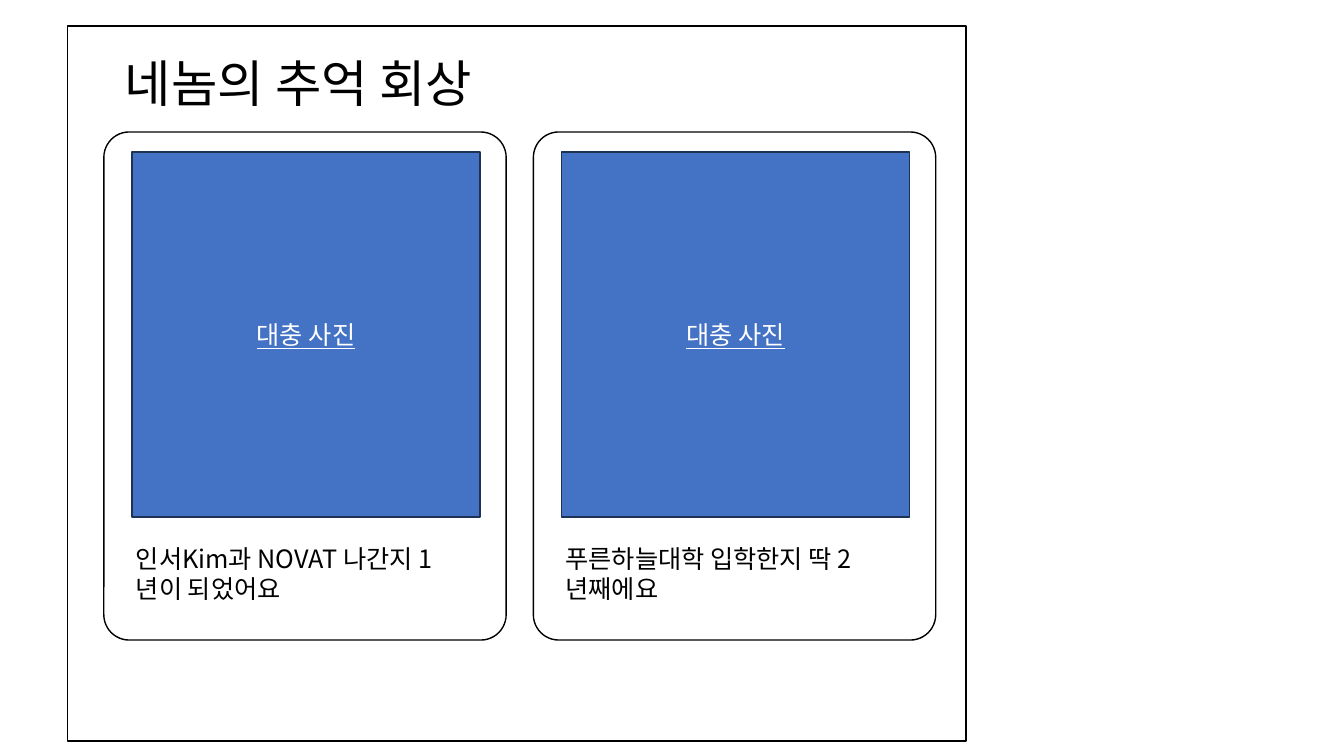
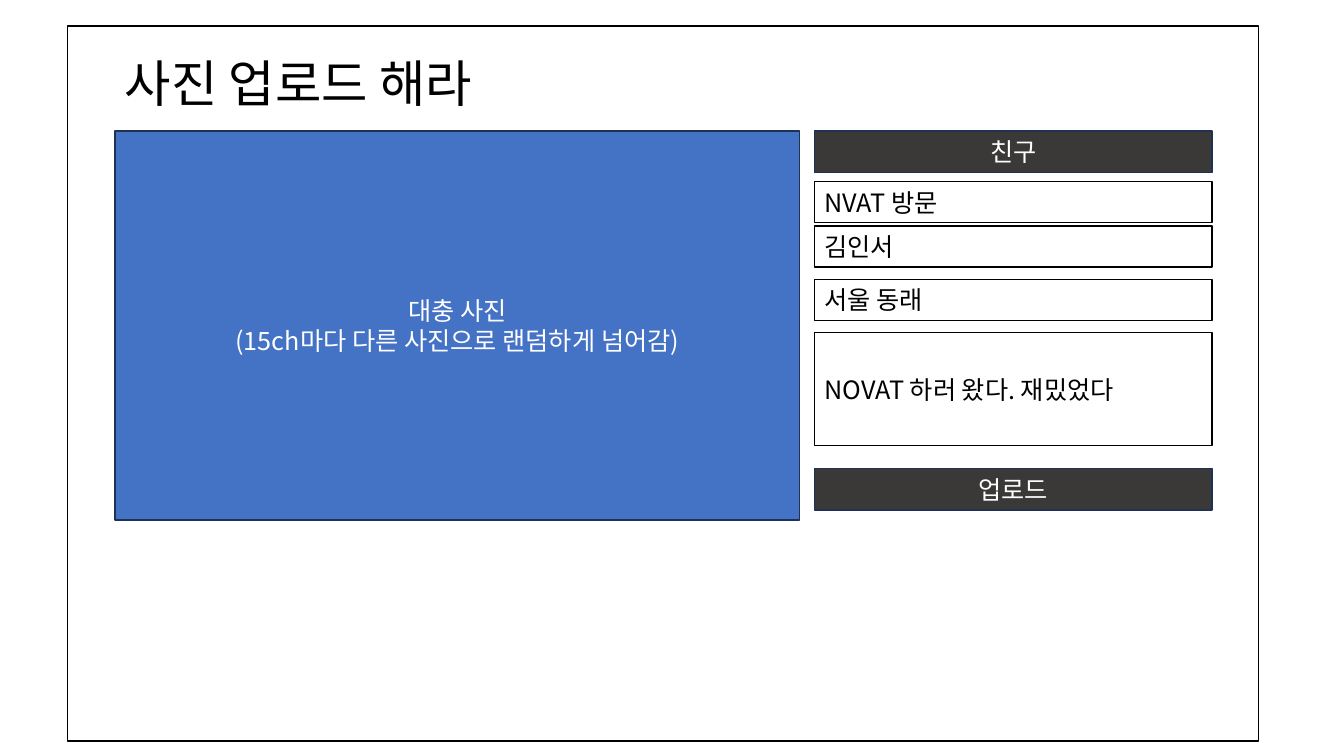
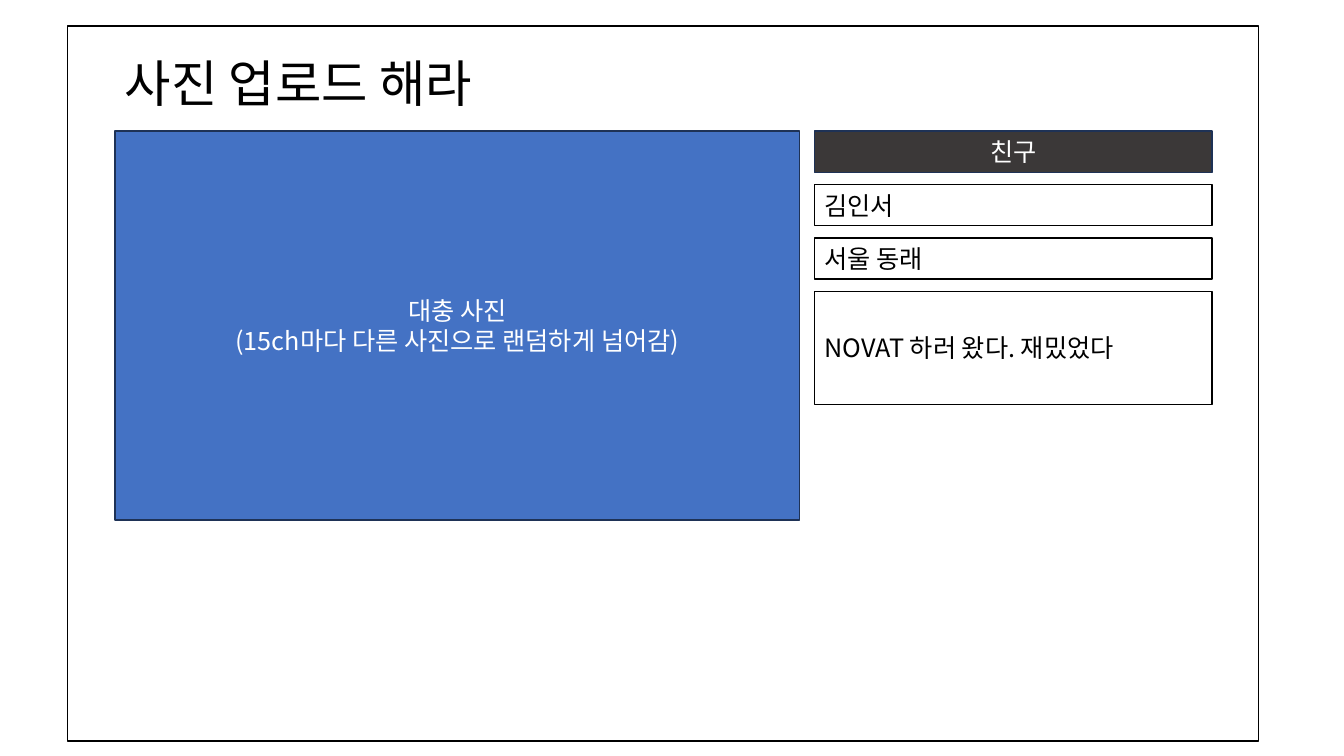
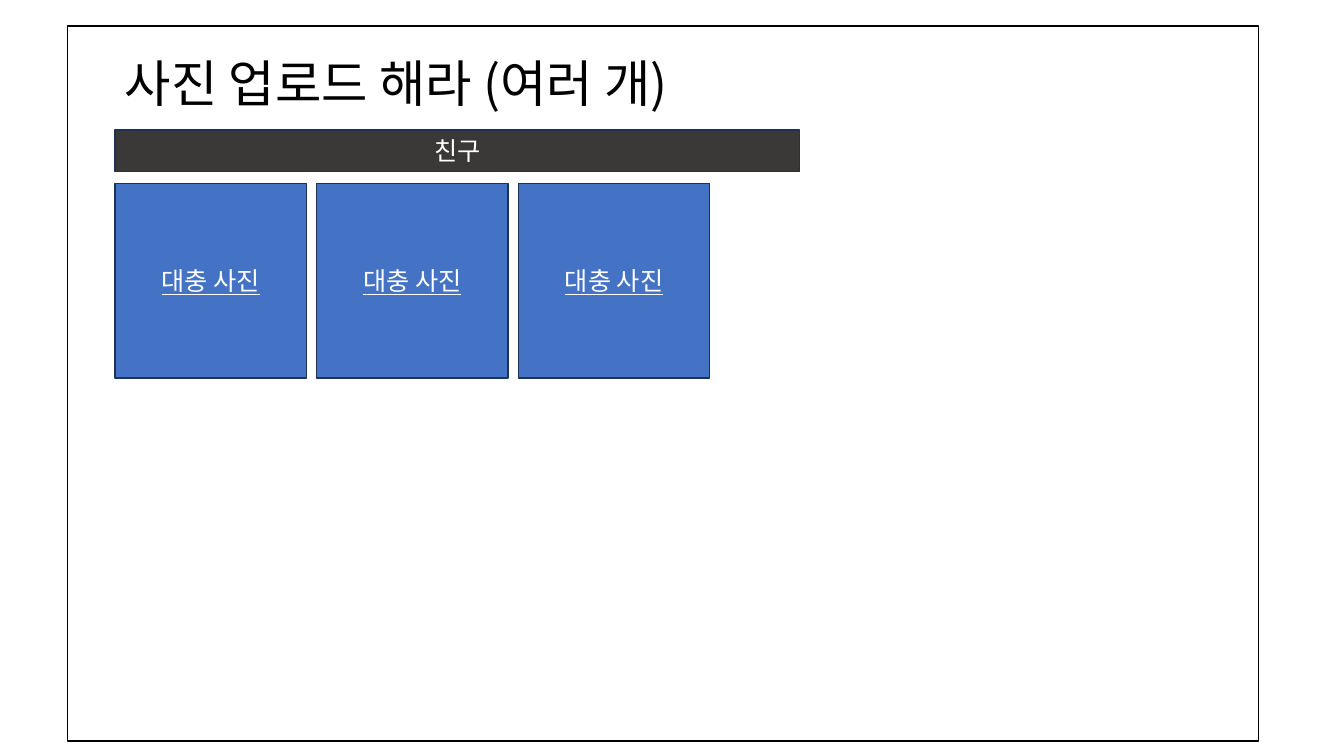
from pptx import Presentation
from pptx.dml.color import RGBColor
from pptx.enum.shapes import MSO_SHAPE as SHAPE
from pptx.enum.text import MSO_ANCHOR as ANCHOR, MSO_AUTO_SIZE as AUTO_SIZE, PP_ALIGN as ALIGN
from pptx.oxml.ns import qn
from pptx.util import Inches, Pt
from lxml import etree

FONT = "Noto Sans CJK KR"
BLACK = RGBColor(0x00, 0x00, 0x00)
WHITE = RGBColor(0xFF, 0xFF, 0xFF)
BLUE = RGBColor(0x44, 0x72, 0xC4)
NAVY = RGBColor(0x1E, 0x32, 0x56)
CHARCOAL = RGBColor(0x3B, 0x38, 0x38)

LEFT = 1.14
TOP = 1.3
PHOTO_W = 6.79
FORM_X = 8.08
FORM_W = 3.94
ROW_H = 0.41
MEMO_H = 1.12
ROW_PITCH = 0.53
PHOTO = "대충 사진"


def set_text(sp, text, size, color, align=ALIGN.LEFT, underline=None):
    tf = sp.text_frame
    tf.word_wrap = True
    tf.text = text
    for p in tf.paragraphs:
        p.alignment = align
        for r in p.runs:
            font = r.font
            font.name = FONT
            font.size = Pt(size)
            font.color.rgb = color
            font.underline = underline
            etree.SubElement(font._element, qn("a:ea")).set("typeface", FONT)


def add_box(slide, x, y, w, h, fill=WHITE, line=BLACK, radius=None):
    """Add a rectangle, or a rounded one when a radius is given."""
    kind = SHAPE.RECTANGLE if radius is None else SHAPE.ROUNDED_RECTANGLE
    sp = slide.shapes.add_shape(kind, Inches(x), Inches(y), Inches(w), Inches(h))
    if radius is not None:
        sp.adjustments[0] = radius
    sp.shadow.inherit = False
    sp.fill.solid()
    sp.fill.fore_color.rgb = fill
    sp.line.color.rgb = line
    sp.line.width = Pt(1)
    sp.text_frame.vertical_anchor = ANCHOR.MIDDLE
    return sp


def add_label(slide, text, x, y, w, size=18):
    sp = slide.shapes.add_textbox(Inches(x), Inches(y), Inches(w), Inches(0.71))
    set_text(sp, text, size, BLACK)
    sp.text_frame.auto_size = AUTO_SIZE.SHAPE_TO_FIT_TEXT


def add_photo(slide, x, y, w, h, text=PHOTO, underline=True):
    sp = add_box(slide, x, y, w, h, BLUE, NAVY)
    set_text(sp, text, 18, WHITE, ALIGN.CENTER, underline)


def add_button(slide, text, x, y, w):
    sp = add_box(slide, x, y, w, ROW_H, CHARCOAL, NAVY, radius=0)
    set_text(sp, text, 18, WHITE, ALIGN.CENTER)


def add_field(slide, text, y, h=ROW_H):
    sp = add_box(slide, FORM_X, y, FORM_W, h, radius=0)
    set_text(sp, text, 18, BLACK)


def add_screen(prs, title, width=11.81):
    """Add a slide with the window frame and its title."""
    slide = prs.slides.add_slide(prs.slide_layouts[6])
    add_box(slide, 0.67, 0.26, width, 7.09)
    add_label(slide, title, LEFT, 0.47, 6.6, size=36)
    return slide


def add_memory_card(slide, x, caption):
    add_box(slide, x, 1.31, 3.99, 5.04, radius=0.063)
    add_photo(slide, x + 0.28, 1.51, 3.45, 3.62)
    add_label(slide, caption, x + 0.22, 5.34, 3.51)


def add_upload_screen(prs, fields_y):
    slide = add_screen(prs, "사진 업로드 해라")
    add_button(slide, "친구", FORM_X, TOP, FORM_W)
    add_photo(slide, LEFT, TOP, PHOTO_W, 3.86,
              PHOTO + "\n(15ch마다 다른 사진으로 랜덤하게 넘어감)", underline=None)
    fields = [("김인서", ROW_H), ("서울 동래", ROW_H), ("NOVAT 하러 왔다. 재밌었다", MEMO_H)]
    for i, (text, h) in enumerate(fields):
        add_field(slide, text, fields_y + i * ROW_PITCH, h)
    return slide


def add_memories(prs):
    slide = add_screen(prs, "네놈의 추억 회상", width=8.91)
    captions = ["인서Kim과 NOVAT 나간지 1년이 되었어요", "푸른하늘대학 입학한지 딱 2년째에요"]
    for i, caption in enumerate(captions):
        add_memory_card(slide, 1.03 + i * 4.26, caption)


def add_titled_upload(prs):
    slide = add_upload_screen(prs, fields_y=2.24)
    add_field(slide, "NVAT 방문", 1.8)
    add_button(slide, "업로드", FORM_X, 4.65, FORM_W)


def add_multi_upload(prs):
    slide = add_screen(prs, "사진 업로드 해라 (여러 개)")
    add_button(slide, "친구", LEFT, 1.29, PHOTO_W)
    for i in range(3):
        add_photo(slide, LEFT + i * 2, 1.82, 1.9, 1.93)


def main():
    prs = Presentation()
    prs.slide_width = Inches(13.33)
    prs.slide_height = Inches(7.5)
    add_memories(prs)
    add_titled_upload(prs)
    add_upload_screen(prs, fields_y=1.83)
    add_multi_upload(prs)
    prs.save("out.pptx")


if __name__ == "__main__":
    main()
